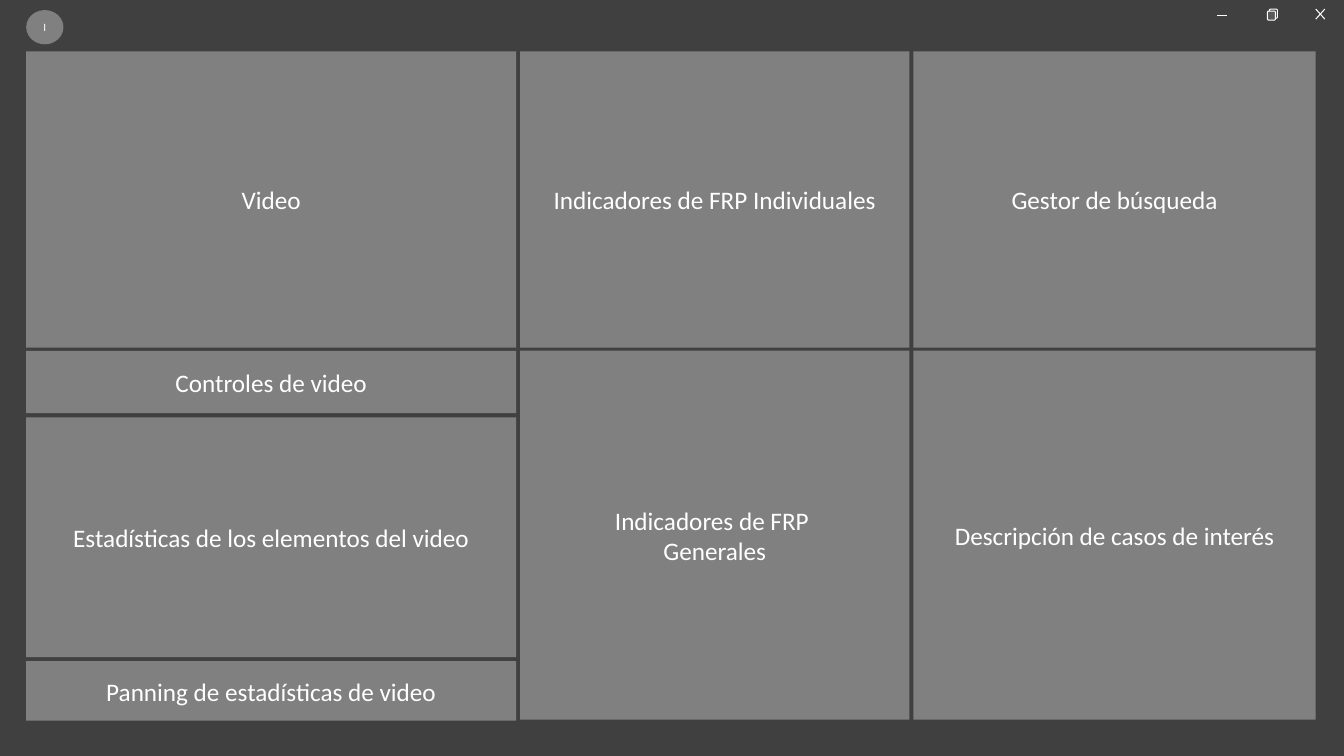
from lxml.etree import SubElement
from pptx import Presentation
from pptx.dml.color import RGBColor
from pptx.enum.shapes import MSO_CONNECTOR, MSO_SHAPE
from pptx.enum.text import MSO_ANCHOR, PP_ALIGN
from pptx.oxml.ns import qn
from pptx.util import Inches, Pt

WINDOW, PANEL, ICON, WHITE = "404040", "808080", "595959", "FFFFFF"


def paint(color_format, color):
    color_format.rgb = RGBColor.from_string(color)


def add_box(shapes, kind, box, fill, outline=None, text="", size=18):
    shape = shapes.add_shape(kind, *[Inches(v) for v in box])
    shape.shadow.inherit = False
    shape.fill.solid()
    paint(shape.fill.fore_color, fill)
    if outline:
        paint(shape.line.color, outline)
        shape.line.width = Pt(0.75)
    else:
        shape.line.fill.background()
    if text:
        frame = shape.text_frame
        frame.word_wrap = True
        frame.vertical_anchor = MSO_ANCHOR.MIDDLE
        paragraph = frame.paragraphs[0]
        paragraph.alignment = PP_ALIGN.CENTER
        for number, line in enumerate(text.split("\n")):
            if number:
                paragraph.add_line_break()
            run = paragraph.add_run()
            run.text = line
            for name, value in {"name": "Calibri", "size": Pt(size)}.items():
                setattr(run.font, name, value)
            paint(run.font.color, WHITE)


prs = Presentation()
prs.slide_width, prs.slide_height = Inches(13.33), Inches(7.5)
slide = prs.slides.add_slide(prs.slide_layouts[6])

# Application window
add_box(slide.shapes, MSO_SHAPE.RECTANGLE, (0, 0, 13.33, 7.5), WINDOW)

# Restore button
restore = slide.shapes.add_group_shape()
for left, top, fill in [(12.59, 0.09, WINDOW), (12.57, 0.11, ICON)]:
    add_box(restore.shapes, MSO_SHAPE.ROUNDED_RECTANGLE,
            (left, top, 0.08, 0.09), fill, WHITE)

# Close and minimize buttons
close = slide.shapes.add_group_shape()
for shapes, ends in [
    (close.shapes, (13.05, 0.09, 13.14, 0.19)),
    (close.shapes, (13.05, 0.19, 13.14, 0.09)),
    (slide.shapes, (12.07, 0.15, 12.17, 0.15)),
]:
    stroke = shapes.add_connector(MSO_CONNECTOR.STRAIGHT, *[Inches(v) for v in ends])
    paint(stroke.line.color, WHITE)
    stroke.line.width = Pt(0.75)
    SubElement(stroke._element.spPr, qn("a:effectLst"))

# Panels: each column lists its left, width and rows of (top, height, label)
TOP, TOP_HEIGHT = 0.51, 2.94
LOWER, LOWER_HEIGHT = 3.48, 3.66
columns = [
    (0.26, 4.86, [
        (TOP, TOP_HEIGHT, "Video"),
        (LOWER, 0.62, "Controles de video"),
        (4.14, 2.38, "Estadísticas de los elementos del video"),
        (6.56, 0.59, "Panning de estadísticas de video"),
    ]),
    (5.16, 3.86, [
        (TOP, TOP_HEIGHT, "Indicadores de FRP Individuales"),
        (LOWER, LOWER_HEIGHT, "Indicadores de FRP \nGenerales"),
    ]),
    (9.06, 3.99, [
        (TOP, TOP_HEIGHT, "Gestor de búsqueda"),
        (LOWER, LOWER_HEIGHT, "Descripción de casos de interés"),
    ]),
]
for left, width, rows in columns:
    for top, height, label in rows:
        add_box(slide.shapes, MSO_SHAPE.RECTANGLE,
                (left, top, width, height), PANEL, text=label)

# Menu button
add_box(slide.shapes, MSO_SHAPE.OVAL, (0.26, 0.1, 0.37, 0.34), PANEL, text="I", size=8)

prs.save("out.pptx")
